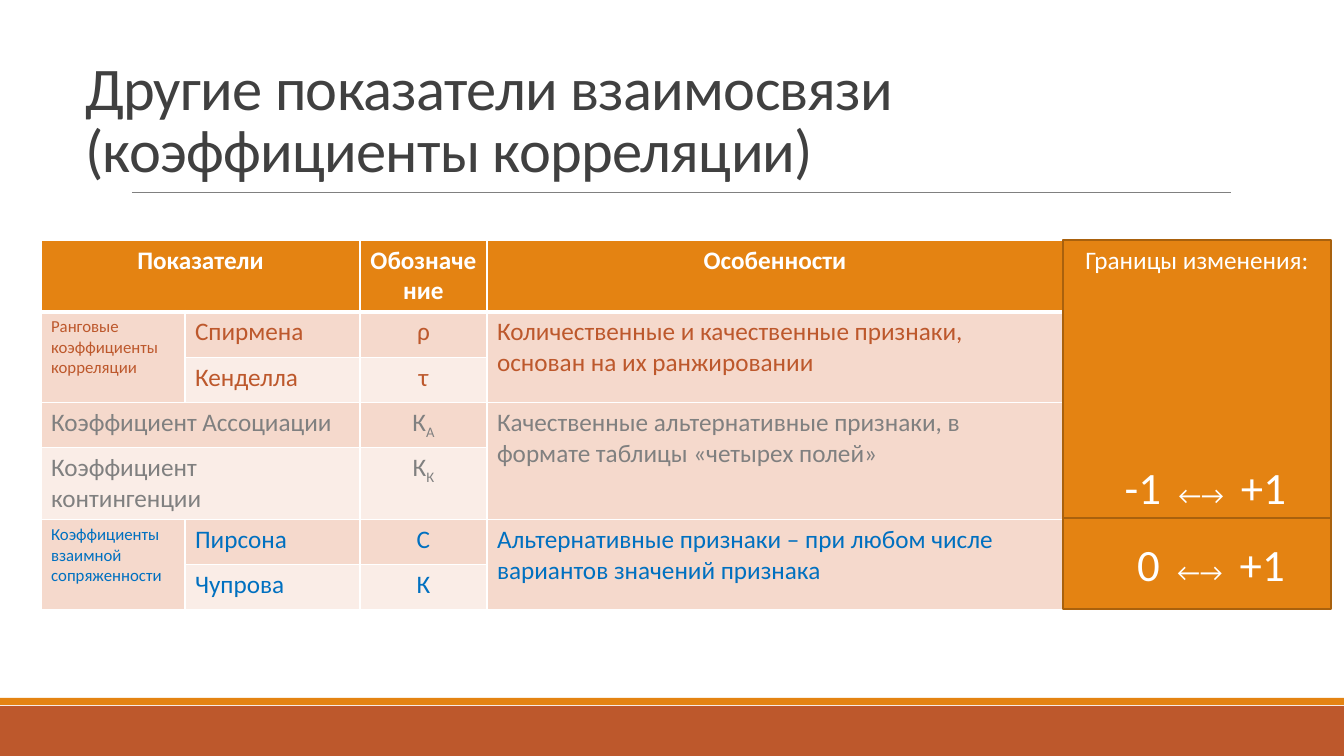
from dataclasses import dataclass
from lxml.etree import SubElement
from pptx import Presentation
from pptx.dml.color import RGBColor
from pptx.enum.shapes import MSO_CONNECTOR, MSO_SHAPE
from pptx.enum.text import MSO_ANCHOR, MSO_AUTO_SIZE, PP_ALIGN
from pptx.oxml import parse_xml
from pptx.oxml.ns import nsdecls, qn
from pptx.util import Emu, Pt


@dataclass(frozen=True)
class Theme:
    font: str = "Calibri"
    dark: str = "404040"
    gray: str = "808080"
    rust: str = "BD582C"
    blue: str = "0070C0"
    amber: str = "E48312"
    edge: str = "A9610D"
    white: str = "FFFFFF"
    bands: tuple = ("FAEDE7", "F5D9CC")
    head: float = 43.2
    body: float = 18
    small: float = 12
    large: float = 32


def px(count):
    return Emu(round(count * 914400 / 100.8))


def paint(fill, color):
    fill.solid()
    fill.fore_color.rgb = RGBColor.from_string(color)


class Board:
    def __init__(self, slide, theme):
        self.slide = slide
        self.theme = theme

    def style(self, para, size, color, align=PP_ALIGN.LEFT, bold=False):
        para.alignment = align
        font = para.font
        font.name = self.theme.font
        font.size = Pt(size)
        font.bold = bold
        font.color.rgb = RGBColor.from_string(color)

    def title(self, text, box):
        shape = self.slide.shapes.title
        shape.left, shape.top, shape.width, shape.height = map(px, box)
        frame = shape.text_frame
        frame.text = text
        frame.word_wrap = True
        frame.auto_size = MSO_AUTO_SIZE.NONE
        frame.vertical_anchor = MSO_ANCHOR.BOTTOM
        para = frame.paragraphs[0]
        para.line_spacing = 0.85
        self.style(para, self.theme.head, self.theme.dark)
        para.runs[0]._r.get_or_add_rPr().set("spc", "-50")

    def rule(self, left, right, top):
        line = self.slide.shapes.add_connector(
            MSO_CONNECTOR.STRAIGHT, px(left), px(top), px(right), px(top))
        line.line.width = Pt(0.5)
        line.line.color.rgb = RGBColor.from_string(self.theme.gray)
        SubElement(line._element.spPr, qn("a:effectLst"))

    def rect(self, box, color, edge=None):
        shape = self.slide.shapes.add_shape(MSO_SHAPE.RECTANGLE, *map(px, box))
        shape.shadow.inherit = False
        paint(shape.fill, color)
        if edge:
            shape.line.color.rgb = RGBColor.from_string(edge)
            shape.line.width = Pt(1.25)
        else:
            shape.line.fill.background()
        return shape

    def panel(self, box, low, high, shift, label=None):
        theme = self.theme
        frame = self.rect(box, theme.amber, theme.edge).text_frame
        frame.word_wrap = True
        frame.vertical_anchor = MSO_ANCHOR.MIDDLE
        para = frame.paragraphs[0]
        if label:
            para.text = label
            self.style(para, theme.body, theme.white, PP_ALIGN.CENTER)
            para = frame.add_paragraph()
            para.space_before = Pt(132)
        self.style(para, theme.body, theme.white, PP_ALIGN.CENTER)
        para._p.get_or_add_pPr().set("marL", str(Pt(shift)))
        for text in (low, " ", "←→", " ", high):
            run = para.add_run()
            run.text = text
            if text in (low, high):
                run.font.size = Pt(theme.large)
            elif text == " ":
                run._r.get_or_add_rPr().set("spc", "810")

    def border(self, cell, row):
        widths = {"L": 1, "R": 1, "T": 3 if row == 1 else 1, "B": 1 if row else 3}
        for spot, (side, width) in enumerate(widths.items()):
            cell._tc.get_or_add_tcPr().insert(spot, parse_xml(
                f'<a:ln{side} {nsdecls("a")} w="{Pt(width)}"><a:solidFill>'
                f'<a:srgbClr val="{self.theme.white}"/></a:solidFill></a:ln{side}>'))

    def cell(self, cell, text, row, col, color):
        theme = self.theme
        paint(cell.fill, theme.bands[row % 2] if row else theme.amber)
        self.border(cell, row)
        if not text:
            return
        para = cell.text_frame.paragraphs[0]
        base, _, sub = text.partition("_")
        para.add_run().text = base
        if sub:
            run = para.add_run()
            run.text = sub
            run._r.get_or_add_rPr().set("baseline", "-25000")
        tall = cell.is_merge_origin and cell.span_height > 1
        size = theme.small if tall and col == 0 else theme.body
        align = PP_ALIGN.CENTER if row == 0 or col == 2 else PP_ALIGN.LEFT
        self.style(para, size, color, align, row == 0)

    def table(self, left, top, cols, rows, data, spans, colors):
        grid = self.slide.shapes.add_table(
            len(rows), len(cols), px(left), px(top), px(sum(cols)), px(sum(rows))).table
        for track, size in zip(grid.columns, cols):
            track.width = px(size)
        for track, size in zip(grid.rows, rows):
            track.height = px(size)
        for row, col, high, wide in spans:
            grid.cell(row, col).merge(grid.cell(row + high - 1, col + wide - 1))
        for row, texts in enumerate(data):
            for col, text in enumerate(texts):
                self.cell(grid.cell(row, col), text, row, col, colors[(row + 1) // 2])


def main():
    deck = Presentation()
    deck.slide_width, deck.slide_height = px(1344), px(756)
    theme = Theme()
    board = Board(deck.slides.add_slide(deck.slide_layouts[5]), theme)
    board.rect((0, 706, 1344, 50), theme.rust)
    board.rect((0, 698, 1344, 7), theme.amber)
    board.rule(132, 1231, 192)
    board.title("Другие показатели взаимосвязи (коэффициенты корреляции)",
                (75, 45, 1175, 145))
    data = [
        ("Показатели", "", "Обозначение", "Особенности"),
        ("Ранговые коэффициенты корреляции", "Спирмена", "ρ",
         "Количественные и качественные признаки, основан на их ранжировании"),
        ("", "Кенделла", "τ", ""),
        ("Коэффициент Ассоциации", "", "К_А",
         "Качественные альтернативные признаки, в формате таблицы «четырех полей»"),
        ("Коэффициент контингенции", "", "К_К", ""),
        ("Коэффициенты взаимной сопряженности", "Пирсона", "С",
         "Альтернативные признаки – при любом числе вариантов значений признака"),
        ("", "Чупрова", "К", ""),
    ]
    pairs = [(row, col, 2, 1) for row, col in ((1, 0), (5, 0), (1, 3), (3, 3), (5, 3))]
    wides = [(row, 0, 1, 2) for row in (0, 3, 4)]
    board.table(41, 240, (144, 175, 127, 576), (71, 46, 45, 45, 72, 45, 45), data,
                pairs + wides, (theme.white, theme.rust, theme.gray, theme.blue))
    board.panel((1063, 240, 268, 278), "-1", "+1", 12, "Границы изменения:")
    board.panel((1063, 518, 268, 91), "0", "+1", 20)
    deck.save("out.pptx")


if __name__ == "__main__":
    main()
